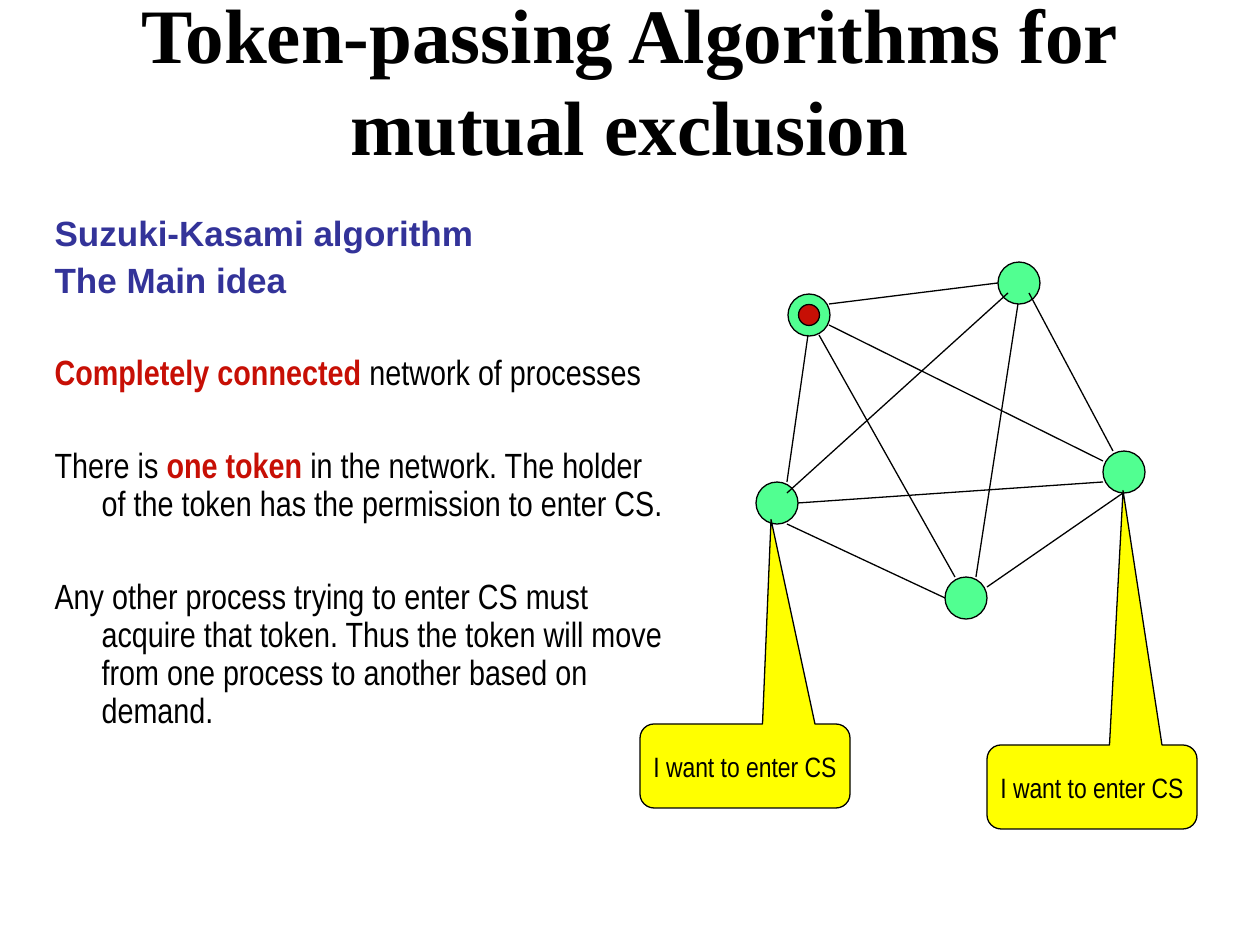
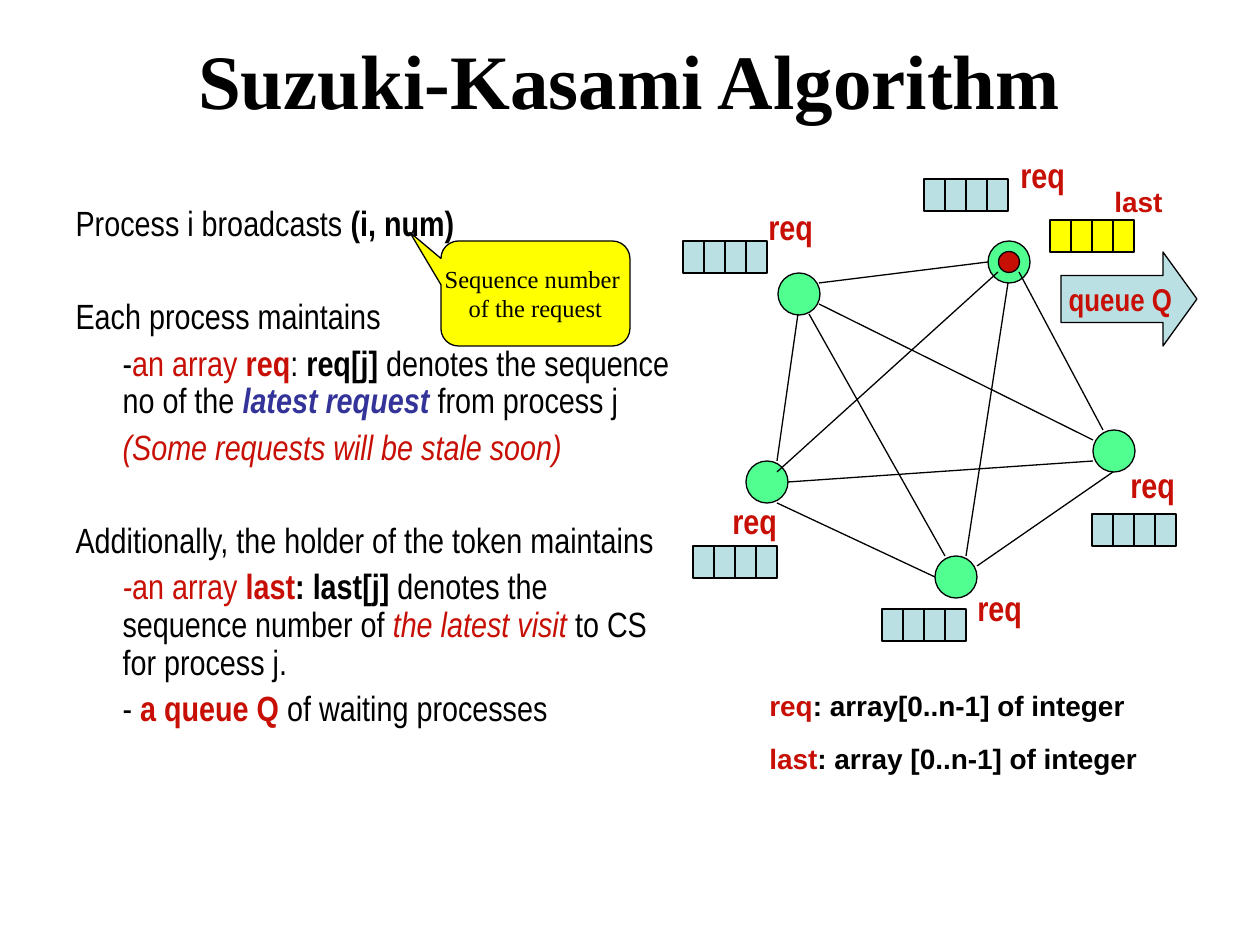
from lxml.etree import SubElement
from pptx import Presentation
from pptx.dml.color import RGBColor
from pptx.enum.shapes import MSO_CONNECTOR, MSO_SHAPE as SHAPE
from pptx.enum.text import MSO_ANCHOR as ANCHOR, MSO_AUTO_SIZE as FIT, PP_ALIGN as ALIGN
from pptx.oxml.ns import qn
from pptx.util import Emu, Inches, Pt

SCALE = Inches(1) / 126
BLACK, RED, BLUE = "000000", "C70F05", "333399"
GREEN, YELLOW, PALE = "51FF91", "FFFF00", "BBE0E3"
SERIF, SANS, NARROW = "Times New Roman", "Arial", "Arial Narrow"
LINE_WIDTH = Pt(0.74)
PARA_GAP, SECTION_GAP = Pt(5), Pt(31.5)
INDENT = 47
NODE, TOKEN = 42, 21
CELL_WIDTH, CELL_HEIGHT, CELL_COUNT = 21, 32, 4

NODES = [(32, 32), (242, 0), (0, 220), (189, 315), (347, 189)]
EDGES = [
    ((73, 42), (242, 21)), ((273, 31), (357, 189)), ((347, 220), (42, 241)),
    ((52, 73), (31, 220)), ((73, 63), (347, 199)), ((252, 31), (31, 231)),
    ((31, 262), (189, 336)), ((262, 42), (220, 315)), ((367, 231), (231, 325)),
    ((63, 73), (199, 315)),
]

HEADING = dict(font=SANS, color=BLUE, bold=True)
STRONG = dict(bold=True)
RED_TEXT = dict(color=RED)
RED_STRONG = dict(color=RED, bold=True)
RED_ITALIC = dict(color=RED, italic=True)
BLUE_ITALIC = dict(color=BLUE, bold=True, italic=True)

IDEA = [
    ("main", [("Suzuki-Kasami algorithm", HEADING)]),
    ("main", [("The Main idea", HEADING)]),
    ("section", [("Completely connected", RED_STRONG), (" network of processes", {})]),
    ("section", [
        ("There is ", {}), ("one token", RED_STRONG),
        (" in the network. The holder of the token has the permission to enter CS.", {})]),
    ("section", [
        ("Any other process trying to enter CS must acquire that token. Thus the token "
         "will move from one process to another based on demand.", {})]),
]
DETAILS = [
    ("main", [("Process i broadcasts ", {}), ("(i, num)", STRONG)]),
    ("section", [("Each process maintains", {})]),
    ("sub", [
        ("-", {}), ("an array ", RED_TEXT), ("req", RED_STRONG), (": ", {}),
        ("req[j]", STRONG), (" denotes the sequence no of the ", {}),
        ("latest request", BLUE_ITALIC), (" from process j", {})]),
    ("sub", [("(Some requests will be stale soon)", RED_ITALIC)]),
    ("section", [("Additionally, the holder of the token maintains", {})]),
    ("sub", [
        ("-", RED_ITALIC), ("an array ", RED_TEXT), ("last", RED_STRONG),
        (": last[j]", STRONG), (" denotes the sequence number of ", {}),
        ("the latest visit", RED_ITALIC), (" to CS for process j.", {})]),
    ("sub", [("- ", {}), ("a queue Q", RED_STRONG), (" of waiting processes", {})]),
]
REQ_ARRAYS = [(924, 179), (1092, 514), (882, 609), (693, 546), (683, 241)]
REQ_LABELS = [(1008, 147), (1118, 457), (965, 580), (720, 493), (756, 199)]


def px(*lengths):
    """Turn pixel lengths into EMU."""
    return [Emu(round(length * SCALE)) for length in lengths]


def rgb(value):
    """Turn a hex string into a colour."""
    return RGBColor.from_string(value)


def write(para, text, size=20, font=NARROW, color=BLACK, bold=False, italic=False):
    """Add one formatted span to a paragraph."""
    span = para.add_run()
    span.text = text
    span.font.size, span.font.name = Pt(size), font
    span.font.bold, span.font.italic = bold, italic
    span.font.color.rgb = rgb(color)


def place(shape, left, top, width, height):
    """Move and size a placeholder."""
    shape.left, shape.top, shape.width, shape.height = px(left, top, width, height)


def add_page(deck, title, body_box, items):
    """Add a slide with its title and list."""
    page = deck.slides.add_slide(deck.slide_layouts[1])
    heading, body = page.placeholders
    place(heading, 94, 0, 1071, 157)
    heading.text_frame.auto_size = FIT.NONE
    heading.text_frame.vertical_anchor = ANCHOR.MIDDLE
    para = heading.text_frame.paragraphs[0]
    para.alignment = ALIGN.CENTER
    write(para, title, 44, SERIF, bold=True)
    place(body, *body_box)
    body.text_frame.auto_size = FIT.NONE
    for index, (style, spans) in enumerate(items):
        add_item(body.text_frame, index, style, spans)
    return page


def add_item(frame, index, style, spans):
    """Fill one list paragraph, hanging unless it is a sub-item."""
    para = frame.add_paragraph() if index else frame.paragraphs[0]
    para.line_spacing = 0.9
    para.space_before = SECTION_GAP if style == "section" else PARA_GAP
    margin = px(INDENT)[0]
    properties = para._p.get_or_add_pPr()
    properties.set("marL", str(margin))
    properties.set("indent", str(0 if style == "sub" else -margin))
    SubElement(properties, qn("a:buNone"))
    for text, look in spans:
        write(para, text, **look)


def add_figure(page, kind, box, fill, lines=(), adjust=(), **look):
    """Add an outlined preset shape with optional centred lines of text."""
    shape = page.shapes.add_shape(kind, *px(*box))
    shape.shadow.inherit = False
    shape.fill.solid()
    shape.fill.fore_color.rgb = rgb(fill)
    shape.line.color.rgb = rgb(BLACK)
    shape.line.width = LINE_WIDTH
    for index, value in enumerate(adjust):
        shape.adjustments[index] = value
    frame = shape.text_frame
    frame.word_wrap = False
    frame.vertical_anchor = ANCHOR.MIDDLE
    for index, text in enumerate(lines):
        para = frame.add_paragraph() if index else frame.paragraphs[0]
        para.alignment = ALIGN.CENTER
        write(para, text, **look)


def add_callout(page, box, tip, lines, **look):
    """Add a yellow speech bubble pointing at a tip."""
    add_figure(page, SHAPE.ROUNDED_RECTANGULAR_CALLOUT, box, YELLOW, lines,
               (*tip, 0.167), **look)


def add_label(page, box, spans, **look):
    """Add an unwrapped text box."""
    frame = page.shapes.add_textbox(*px(*box)).text_frame
    frame.word_wrap = False
    frame.auto_size = FIT.SHAPE_TO_FIT_TEXT
    for text, color in spans:
        write(frame.paragraphs[0], text, color=color, bold=True, **look)


def add_edge(page, start, end):
    """Add a thin black line."""
    edge = page.shapes.add_connector(MSO_CONNECTOR.STRAIGHT, *px(*start, *end))
    edge.line.color.rgb = rgb(BLACK)
    edge.line.width = LINE_WIDTH
    SubElement(edge._element.spPr, qn("a:effectLst"))


def add_network(page, left, top, holder):
    """Draw the complete graph with the token in the holder node."""
    for x, y in NODES:
        add_figure(page, SHAPE.OVAL, (left + x, top + y, NODE, NODE), GREEN)
    for start, end in EDGES:
        add_edge(page, *[(left + x, top + y) for x, y in (start, end)])
    x, y = NODES[holder]
    inset = (NODE - TOKEN) / 2
    add_figure(page, SHAPE.OVAL, (left + x + inset, top + y + inset, TOKEN, TOKEN), RED)


def add_array(page, left, top, fill):
    """Draw a row of array cells."""
    for index in range(CELL_COUNT):
        box = (left + index * CELL_WIDTH, top, CELL_WIDTH, CELL_HEIGHT)
        add_figure(page, SHAPE.RECTANGLE, box, fill)


def build_idea(deck):
    """Build the slide on the main idea."""
    page = add_page(deck, "Token-passing Algorithms for mutual exclusion",
                    (42, 210, 640, 567), IDEA)
    add_network(page, 756, 262, holder=0)
    for left, top, tip in [(640, 724, (0.124, -2.935)), (987, 745, (0.148, -3.529))]:
        add_callout(page, (left, top, 210, 84), tip, ["I want to enter CS"], size=16)


def build_details(deck):
    """Build the slide on the data each process keeps."""
    page = add_page(deck, "Suzuki-Kasami Algorithm", (63, 200, 620, 567), DETAILS)
    add_network(page, 746, 241, holder=1)
    for top, width, name, rest in [(682, 381, "req", ": array[0..n-1] of integer"),
                                   (735, 393, "last", ": array [0..n-1] of integer")]:
        add_label(page, (757, top, width, 47), [(name, RED), (rest, BLACK)],
                  size=16, font=SANS)
    add_callout(page, (441, 241, 189, 105), (-0.665, -0.583),
                ["Sequence number ", "of the request"], size=14, font=SERIF)
    for left, top in REQ_ARRAYS:
        add_array(page, left, top, PALE)
    for left, top in REQ_LABELS:
        add_label(page, (left, top, 73, 55), [("req", RED)])
    add_array(page, 1050, 220, YELLOW)
    add_label(page, (1102, 178, 75, 47), [("last", RED)], size=16, font=SANS)
    add_figure(page, SHAPE.RIGHT_ARROW, (1061, 252, 136, 94), PALE, ["queue Q"],
               (0.5, 0.361), size=18, color=RED, bold=True)


def main():
    """Build and save the deck."""
    deck = Presentation()
    deck.slide_width, deck.slide_height = Inches(10), Inches(7.5)
    build_idea(deck)
    build_details(deck)
    deck.save("out.pptx")


main()
